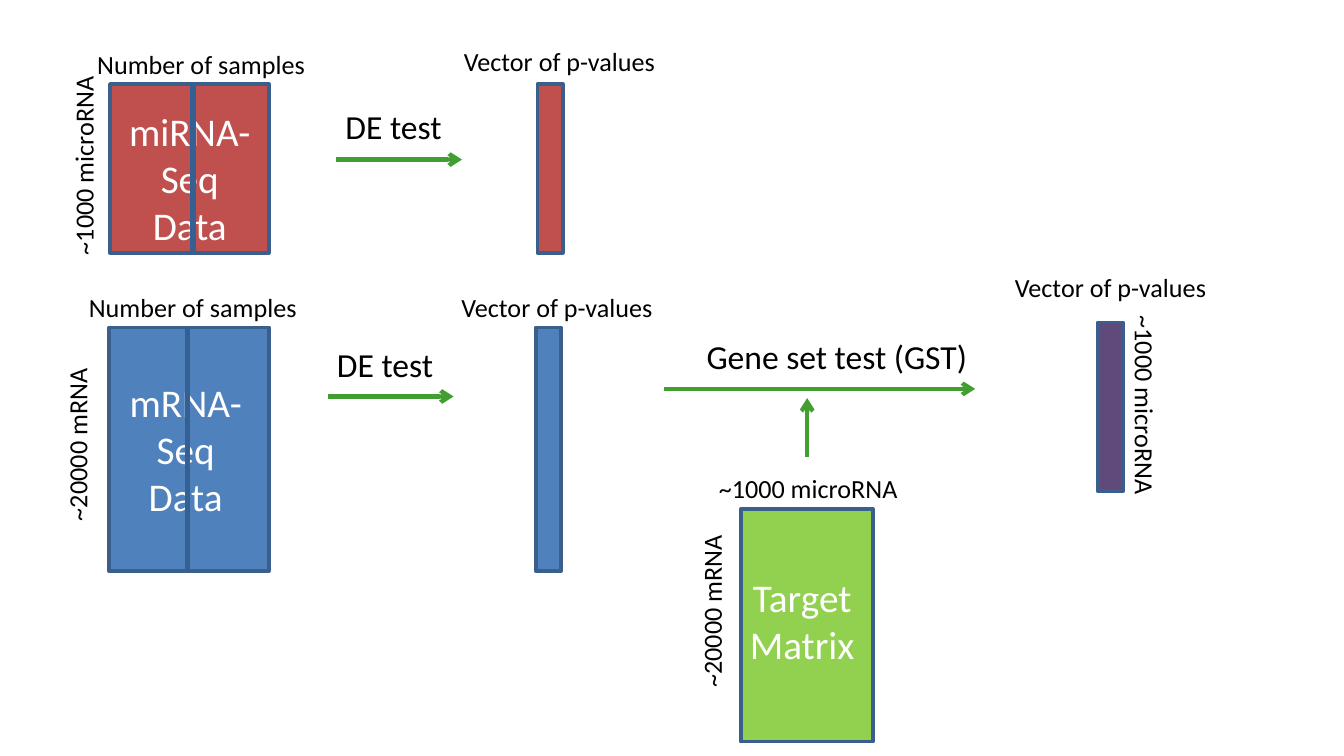
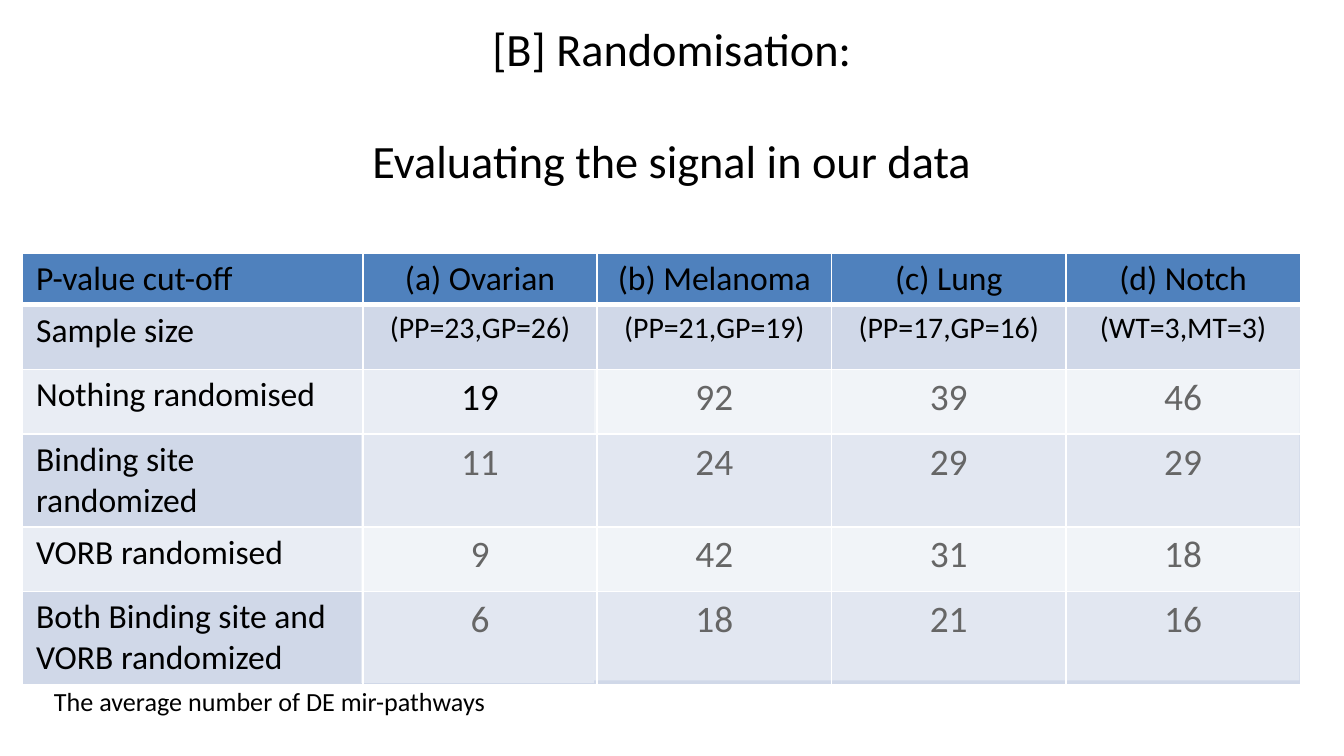
from dataclasses import dataclass
from itertools import accumulate
from typing import Optional, Union

from lxml.etree import SubElement
from pptx import Presentation
from pptx.dml.color import RGBColor
from pptx.enum.shapes import MSO_CONNECTOR as Connector, MSO_SHAPE as Shape
from pptx.enum.text import MSO_ANCHOR as Anchor, MSO_AUTO_SIZE as AutoSize, PP_ALIGN as Align
from pptx.oxml.ns import qn
from pptx.shapes.shapetree import _BaseGroupShapes as Shapes
from pptx.table import _Cell as Cell
from pptx.text.text import TextFrame
from pptx.util import Emu, Inches, Pt

COLUMNS, ROWS = 160, 90
WIDTH, HEIGHT = Inches(10), Inches(5.625)


@dataclass(frozen=True)
class Theme:
    font: str = "Calibri"
    ink: str = "000000"
    paper: str = "FFFFFF"
    mirna: str = "C0504D"
    mrna: str = "4F81BD"
    target: str = "92D050"
    result: str = "604A7B"
    outline: str = "3A5F8C"
    divider: str = "376092"
    flow: str = "419F31"
    dark_band: str = "D0D8E8"
    light_band: str = "E9EDF4"
    title: float = 24.8
    block: float = 21
    figure: float = 20
    body: float = 18
    sample: float = 16
    small: float = 14
    veil_opacity: int = 40
    loose: tuple[float, float] = (0.1, 0.05)
    cell: tuple[float, float] = (0.1, 0.04)
    tight: tuple[float, float] = (0.07, 0.04)


THEME = Theme()


@dataclass(frozen=True)
class Box:
    col: float
    row: float
    cols: float
    rows: float
    fill: str
    outline: Optional[str] = THEME.outline
    opacity: int = 100


@dataclass(frozen=True)
class Label:
    col: float
    row: float
    cols: float
    rows: float
    text: str
    size: float = THEME.small
    color: str = THEME.ink
    align: Optional[Align] = None
    turn: float = 0
    insets: tuple[float, float] = THEME.tight
    wrap: bool = True
    grow: bool = True
    anchor: Optional[Anchor] = None
    gap: float = 0


@dataclass(frozen=True)
class Stroke:
    col: float
    row: float
    end_col: float
    end_row: float
    color: str = THEME.flow
    weight: float = 2.25
    arrow: bool = True


Part = Union[Box, Label, Stroke]


def x(cols: float) -> Emu:
    return Emu(round(WIDTH * cols / COLUMNS))


def y(rows: float) -> Emu:
    return Emu(round(HEIGHT * rows / ROWS))


def write(frame: TextFrame, text: str, *, size: float, color: str = THEME.ink,
          align: Optional[Align] = None, gap: float = 0) -> None:
    for index, line in enumerate(text.split("\n")):
        paragraph = frame.add_paragraph() if index else frame.paragraphs[0]
        paragraph.text = line
        if align is not None:
            paragraph.alignment = align
        if index and gap:
            paragraph.space_before = Pt(gap)
        for run in paragraph.runs:
            run.font.name = THEME.font
            run.font.size = Pt(size)
            run.font.bold = False
            run.font.color.rgb = RGBColor.from_string(color)


def draw_box(shapes: Shapes, box: Box) -> None:
    rect = shapes.add_shape(Shape.RECTANGLE, x(box.col), y(box.row), x(box.cols), y(box.rows))
    rect.shadow.inherit = False
    rect.fill.solid()
    rect.fill.fore_color.rgb = RGBColor.from_string(box.fill)
    if box.opacity < 100:
        tint = rect.fill._xPr.find(".//" + qn("a:srgbClr"))
        SubElement(tint, qn("a:alpha"), val=str(box.opacity * 1000))
    if box.outline:
        rect.line.color.rgb = RGBColor.from_string(box.outline)
        rect.line.width = Pt(2)
    else:
        rect.line.fill.background()


def draw_label(shapes: Shapes, label: Label) -> None:
    caption = shapes.add_textbox(x(label.col), y(label.row), x(label.cols), y(label.rows))
    caption.rotation = label.turn
    frame = caption.text_frame
    frame.word_wrap = label.wrap
    frame.auto_size = AutoSize.SHAPE_TO_FIT_TEXT if label.grow else AutoSize.NONE
    frame.margin_left = frame.margin_right = Inches(label.insets[0])
    frame.margin_top = frame.margin_bottom = Inches(label.insets[1])
    if label.anchor is not None:
        frame.vertical_anchor = label.anchor
    write(frame, label.text, size=label.size, color=label.color, align=label.align, gap=label.gap)


def draw_stroke(shapes: Shapes, stroke: Stroke) -> None:
    link = shapes.add_connector(Connector.STRAIGHT, x(stroke.col), y(stroke.row),
                                x(stroke.end_col), y(stroke.end_row))
    link.line.color.rgb = RGBColor.from_string(stroke.color)
    link.line.width = Pt(stroke.weight)
    if stroke.arrow:
        SubElement(link.line._get_or_add_ln(), qn("a:tailEnd"), type="arrow")
    SubElement(link._element.spPr, qn("a:effectLst"))


def draw(shapes: Shapes, parts: list[Part]) -> None:
    painters = {Box: draw_box, Label: draw_label, Stroke: draw_stroke}
    for part in parts:
        painters[type(part)](shapes, part)


def side_label(col: float, row: float, cols: float, text: str) -> Label:
    return Label(col, row, cols, 5.4, text, turn=270, insets=THEME.loose)


def top_label(col: float, row: float, cols: float, text: str) -> Label:
    return Label(col, row, cols, 5.4, text, insets=THEME.loose)


def block_label(col: float, row: float, cols: float, rows: float, text: str) -> Label:
    return Label(col, row, cols, rows, text, THEME.block, THEME.paper, Align.CENTER,
                 insets=THEME.loose)


def divider(col: float, top: float, bottom: float) -> Stroke:
    return Stroke(col, top, col, bottom, THEME.divider, 3, False)


TARGET_MATRIX = [
    Box(88.2, 60.6, 15.7, 27.7, THEME.target),
    side_label(73.3, 69.3, 22.9, "~20000 mRNA"),
    top_label(84, 55.4, 28.8, "~1000 microRNA"),
    block_label(81.1, 67.5, 28.8, 13, "Target\vMatrix"),
]
MRNA_DATA = [
    Box(13, 39, 19, 29, THEME.mrna),
    top_label(9, 33.9, 31, "Number of samples"),
    side_label(-2.7, 49, 23.8, "~20000 mRNA"),
    block_label(13.6, 44.2, 17, 18.6, "mRNA-Seq\nData"),
    divider(22.3, 39, 68),
]
MIRNA_DATA = [
    side_label(-8.3, 11, 36.5, "~1000 microRNA"),
    top_label(10, 5, 29, "Number of samples"),
    Box(13.1, 10, 18.9, 20.1, THEME.mirna),
    block_label(13, 12, 19.2, 18.6, "miRNA-Seq\nData"),
    divider(23, 10, 30),
]
FLOW = [
    Box(63.8, 39, 3, 29, THEME.mrna),
    Box(64, 10, 3, 20.1, THEME.mirna),
    Stroke(40, 19, 55, 19),
    Stroke(39, 47.2, 54, 47.2),
    Stroke(79, 46.3, 116.1, 46.3),
    Stroke(96.1, 54.4, 96.1, 47.4),
    Box(130.7, 38.4, 3, 20.1, THEME.result),
    Label(121.9, 48.3, 28.8, 5.1, "~1000 microRNA", turn=90),
    Label(40, 12, 15, 6.1, "DE test", THEME.body),
    Label(39, 40.3, 16, 6.1, "DE test", THEME.body),
    Label(83, 39.4, 37, 6.1, "Gene set test (GST)", THEME.body),
    *[Label(col, row, 28.1, 5, "Vector of p-values")
      for col, row in ((53.8, 34.1), (54.1, 4.8), (119.7, 31.7))],
]

RESULTS = [
    ("P-value cut-off", "(a) Ovarian", "(b) Melanoma", "(c) Lung", "(d) Notch"),
    ("Sample size", "(PP=23,GP=26)", "(PP=21,GP=19)", "(PP=17,GP=16)", "(WT=3,MT=3)"),
    ("Nothing randomised", "19", "92", "39", "46"),
    ("Binding site randomized", "11", "24", "29", "29"),
    ("VORB randomised", "9", "42", "31", "18"),
    ("Both Binding site and VORB randomized", "6", "18", "21", "16"),
]
RESULT_COLS = (40.5, 27.9, 27.9, 27.9, 27.9)
RESULT_ROWS = (6.2, 7.7, 7.7, 7.7, 7.7, 10.7)

TITLE = Label(8, 3.7, 144, 17.4, "[B] Randomisation:\nEvaluating the signal in our data",
              THEME.title, align=Align.CENTER, grow=False, anchor=Anchor.MIDDLE, gap=30)
CAPTION = Label(5.3, 81, 56, 5.1, "The average number of DE mir-pathways", wrap=False)
VEIL_ROWS = (10.7, 8, 10.9)
VEIL_TOPS = accumulate(VEIL_ROWS[:-1], initial=51.7)
VEILS = [
    Box(col, row, cols, rows, THEME.paper, None, THEME.veil_opacity)
    for col, row, cols, rows in (
        (70.7, 44, 84, 37),
        *[(43, top, 27.7, rows) for top, rows in zip(VEIL_TOPS, VEIL_ROWS)],
    )
]


def rule_cell(cell: Cell, header: bool) -> None:
    properties = cell._tc.get_or_add_tcPr()
    for index, side in enumerate(("lnL", "lnR", "lnT", "lnB")):
        weight = 3 if header and side == "lnB" else 1
        border = SubElement(properties, qn(f"a:{side}"), w=str(Pt(weight)))
        paint = SubElement(border, qn("a:solidFill"))
        SubElement(paint, qn("a:srgbClr"), val=THEME.paper)
        properties.insert(index, border)


def draw_results(shapes: Shapes) -> None:
    table = shapes.add_table(len(RESULT_ROWS), len(RESULT_COLS), x(2.7), y(30.1),
                             x(sum(RESULT_COLS)), y(sum(RESULT_ROWS))).table
    for column, cols in zip(table.columns, RESULT_COLS):
        column.width = x(cols)
    for row, rows in zip(table.rows, RESULT_ROWS):
        row.height = y(rows)
    bands = (THEME.light_band, THEME.dark_band)
    value_sizes = {0: THEME.body, 1: THEME.sample}
    for r, entries in enumerate(RESULTS):
        for c, entry in enumerate(entries):
            cell = table.cell(r, c)
            cell.margin_left = cell.margin_right = Inches(THEME.cell[0])
            cell.margin_top = cell.margin_bottom = Inches(THEME.cell[1])
            cell.fill.solid()
            cell.fill.fore_color.rgb = RGBColor.from_string(bands[r % 2] if r else THEME.mrna)
            rule_cell(cell, r == 0)
            write(cell.text_frame, entry,
                  size=value_sizes.get(r, THEME.figure) if c else THEME.body,
                  align=Align.CENTER if c else Align.LEFT)


def main() -> None:
    deck = Presentation()
    deck.slide_width, deck.slide_height = WIDTH, HEIGHT
    blank = deck.slide_layouts[6]

    workflow = deck.slides.add_slide(blank).shapes
    for group in (TARGET_MATRIX, MRNA_DATA, MIRNA_DATA):
        draw(workflow.add_group_shape().shapes, group)
    draw(workflow, FLOW)

    randomisation = deck.slides.add_slide(blank).shapes
    draw(randomisation, [TITLE])
    draw_results(randomisation)
    draw(randomisation, [CAPTION, *VEILS])

    deck.save("out.pptx")


if __name__ == "__main__":
    main()
